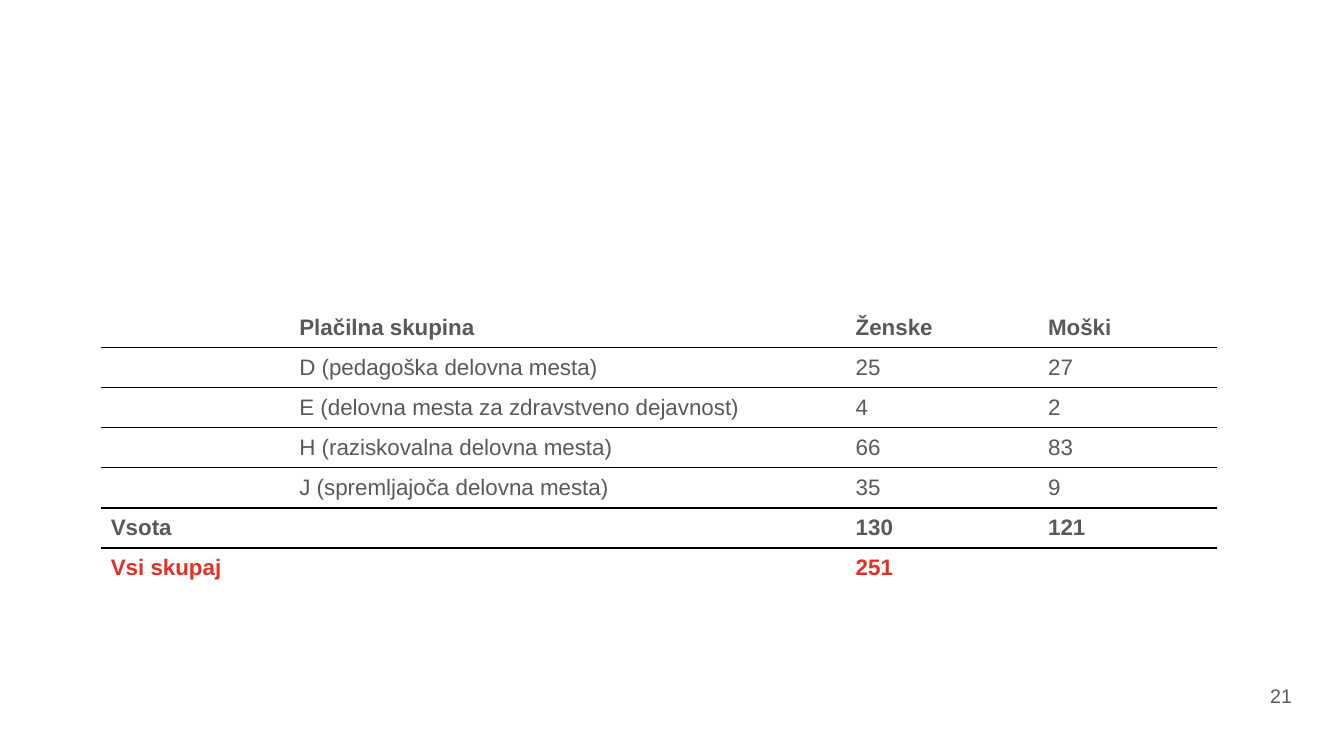
import pptx
import pptx.util
import pptx.dml.color
import pptx.enum.text
from lxml import etree

Cm, Pt = pptx.util.Cm, pptx.util.Pt

# Content
ROWS = [
    ("", "Plačilna skupina", "Ženske", "Moški"),
    ("", "D (pedagoška delovna mesta)", "25", "27"),
    ("", "E (delovna mesta za zdravstveno dejavnost)", "4", "2"),
    ("", "H (raziskovalna delovna mesta)", "66", "83"),
    ("", "J (spremljajoča delovna mesta)", "35", "9"),
    ("Vsota", "", "130", "121"),
    ("Vsi skupaj", "", "251", ""),
]
PAGE = "21"
LAST = len(ROWS) - 1
BOLD = {0, LAST - 1, LAST}

# Style
COLORS = {"text": "58595B", "total": "E03127", "line": "000000"}
FONT = "Arial"
WIDTHS = [4.75, 14.02, 4.85, 4.52]
HEIGHT = 1.01
PLAIN = "{2D5ABB26-0587-4C30-8999-92F81FD0307C}"
NS = "http://schemas.openxmlformats.org/drawingml/2006/main"


def style(para, size, color, bold=False):
    font = para.font
    font.name, font.size, font.bold = FONT, Pt(size), bold
    font.color.rgb = pptx.dml.color.RGBColor.from_string(COLORS[color])


def rule(cell, side):
    line = etree.Element(f"{{{NS}}}{side}", w=str(Pt(1)))
    fill = etree.SubElement(line, f"{{{NS}}}solidFill")
    etree.SubElement(fill, f"{{{NS}}}srgbClr", val=COLORS["line"])
    cell._tc.get_or_add_tcPr().insert(0, line)


deck = pptx.Presentation()
deck.slide_width, deck.slide_height = Cm(33.87), Cm(19.05)
slide = deck.slides.add_slide(deck.slide_layouts[6])

# Table of staff by pay group
frame = slide.shapes.add_table(
    len(ROWS), len(WIDTHS), Cm(2.54), Cm(7.75),
    Cm(sum(WIDTHS)), Cm(HEIGHT * len(ROWS)))
table = frame.table
table.horz_banding = table.first_row = False
table._tbl.tblPr.find(f"{{{NS}}}tableStyleId").text = PLAIN
for col, width in zip(table.columns, WIDTHS):
    col.width = Cm(width)
for r, row in enumerate(ROWS):
    table.rows[r].height = Cm(HEIGHT)
    for c, text in enumerate(row):
        cell = table.cell(r, c)
        cell.text = text
        cell.vertical_anchor = pptx.enum.text.MSO_ANCHOR.MIDDLE
        cell.fill.background()
        style(cell.text_frame.paragraphs[0], 16,
              "total" if r == LAST else "text", r in BOLD)
        if r < LAST:
            rule(cell, "lnB")
        if r > 0:
            rule(cell, "lnT")

# Page number
box = slide.shapes.add_textbox(Cm(30.68), Cm(17.02), Cm(2.13), Cm(1.02))
body = box.text_frame
body.word_wrap = True
body.vertical_anchor = pptx.enum.text.MSO_ANCHOR.MIDDLE
body.text = PAGE
body.paragraphs[0].alignment = pptx.enum.text.PP_ALIGN.RIGHT
style(body.paragraphs[0], 14, "text")

deck.save("out.pptx")
